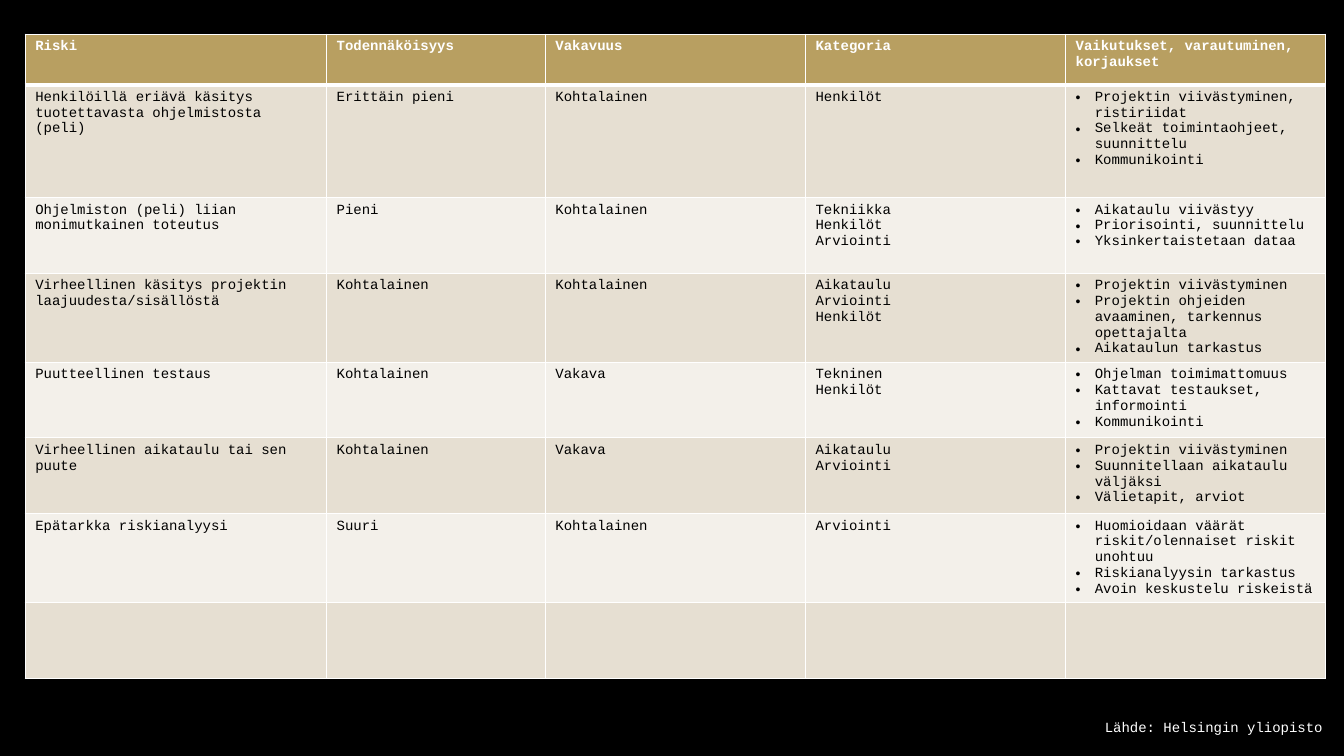
from lxml import etree
from pptx import Presentation
from pptx.dml.color import RGBColor
from pptx.enum.text import MSO_AUTO_SIZE
from pptx.oxml.ns import qn
from pptx.util import Inches, Pt

FIT = MSO_AUTO_SIZE.SHAPE_TO_FIT_TEXT
FONT = "Courier New"
COLORS = {"back": "000000", "head": "B89F61", "dark": "E6DFD2",
          "light": "F3F0EA", "text": "000000", "white": "FFFFFF"}

HEADS = ["Riski", "Todennäköisyys", "Vakavuus", "Kategoria",
         "Vaikutukset, varautuminen, korjaukset"]
# Risk, likelihood, severity, categories, effects and actions
RISKS = [
    ("Henkilöillä eriävä käsitys tuotettavasta ohjelmistosta (peli)",
     "Erittäin pieni", "Kohtalainen", ["Henkilöt"],
     ["Projektin viivästyminen, ristiriidat",
      "Selkeät toimintaohjeet, suunnittelu", "Kommunikointi"]),
    ("Ohjelmiston (peli) liian monimutkainen toteutus",
     "Pieni", "Kohtalainen", ["Tekniikka", "Henkilöt", "Arviointi"],
     ["Aikataulu viivästyy", "Priorisointi, suunnittelu",
      "Yksinkertaistetaan dataa"]),
    ("Virheellinen käsitys projektin laajuudesta/sisällöstä",
     "Kohtalainen", "Kohtalainen", ["Aikataulu", "Arviointi", "Henkilöt"],
     ["Projektin viivästyminen",
      "Projektin ohjeiden avaaminen, tarkennus opettajalta",
      "Aikataulun tarkastus"]),
    ("Puutteellinen testaus",
     "Kohtalainen", "Vakava", ["Tekninen", "Henkilöt"],
     ["Ohjelman toimimattomuus", "Kattavat testaukset, informointi",
      "Kommunikointi"]),
    ("Virheellinen aikataulu tai sen puute",
     "Kohtalainen", "Vakava", ["Aikataulu", "Arviointi"],
     ["Projektin viivästyminen", "Suunnitellaan aikataulu väljäksi",
      "Välietapit, arviot"]),
    ("Epätarkka riskianalyysi",
     "Suuri", "Kohtalainen", ["Arviointi"],
     ["Huomioidaan väärät riskit/olennaiset riskit unohtuu",
      "Riskianalyysin tarkastus", "Avoin keskustelu riskeistä"]),
]
SOURCE = "Lähde: Helsingin yliopisto"

WIDTHS = [2.99, 2.17, 2.58, 2.58, 2.58]
HEIGHTS = [0.5, 1.12, 0.75, 0.86, 0.75, 0.75, 0.86, 0.75]
LAST = len(WIDTHS) - 1


def rgb(name):
    return RGBColor.from_string(COLORS[name])


def add_bullet(para):
    props = para._p.get_or_add_pPr()
    props.set("marL", str(Inches(0.19)))
    props.set("indent", str(Inches(-0.19)))
    etree.SubElement(props, qn("a:buFont")).set("typeface", "Arial")
    etree.SubElement(props, qn("a:buChar")).set("char", "•")


def write(frame, lines, color, bold=False, bullet=False):
    look = {"name": FONT, "size": Pt(10), "bold": bold}
    for i, line in enumerate(lines):
        para = frame.add_paragraph() if i else frame.paragraphs[0]
        if bullet:
            add_bullet(para)
        run = para.add_run()
        run.text = line
        for key, value in look.items():
            setattr(run.font, key, value)
        run.font.color.rgb = rgb(color)


def add_borders(cell, row):
    props = cell._tc.get_or_add_tcPr()
    thick = {"T": row == 1, "B": row == 0}
    for side in "LRTB":
        edge = etree.SubElement(props, qn("a:ln" + side))
        edge.set("w", str(Pt(3 if thick.get(side) else 1)))
        fill = etree.SubElement(edge, qn("a:solidFill"))
        etree.SubElement(fill, qn("a:srgbClr")).set("val", COLORS["white"])


# Slide
prs = Presentation()
prs.slide_width, prs.slide_height = Inches(13.33), Inches(7.5)
slide = prs.slides.add_slide(prs.slide_layouts[6])
slide.background.fill.solid()
slide.background.fill.fore_color.rgb = rgb("back")

# Risk table, with an empty last row
table = slide.shapes.add_table(
    len(HEIGHTS), len(WIDTHS), Inches(0.25), Inches(0.34),
    Inches(sum(WIDTHS)), Inches(sum(HEIGHTS))).table
table.first_row = table.horz_banding = False
for col, width in zip(table.columns, WIDTHS):
    col.width = Inches(width)
for row, height in zip(table.rows, HEIGHTS):
    row.height = Inches(height)

rows = [HEADS, *RISKS, [[]] * len(WIDTHS)]
for r, row in enumerate(rows):
    head = r == 0
    for c, entry in enumerate(row):
        cell = table.cell(r, c)
        add_borders(cell, r)
        cell.fill.solid()
        cell.fill.fore_color.rgb = rgb(
            "head" if head else "dark" if r % 2 else "light")
        lines = [entry] if isinstance(entry, str) else entry
        write(cell.text_frame, lines, "white" if head else "text",
              bold=head, bullet=c == LAST and not head)

# Source line
box = slide.shapes.add_textbox(
    Inches(10.86), Inches(7.08), Inches(2.48), Inches(0.27))
box.text_frame.word_wrap = True
box.text_frame.auto_size = FIT
write(box.text_frame, [SOURCE], "white")

prs.save("out.pptx")
